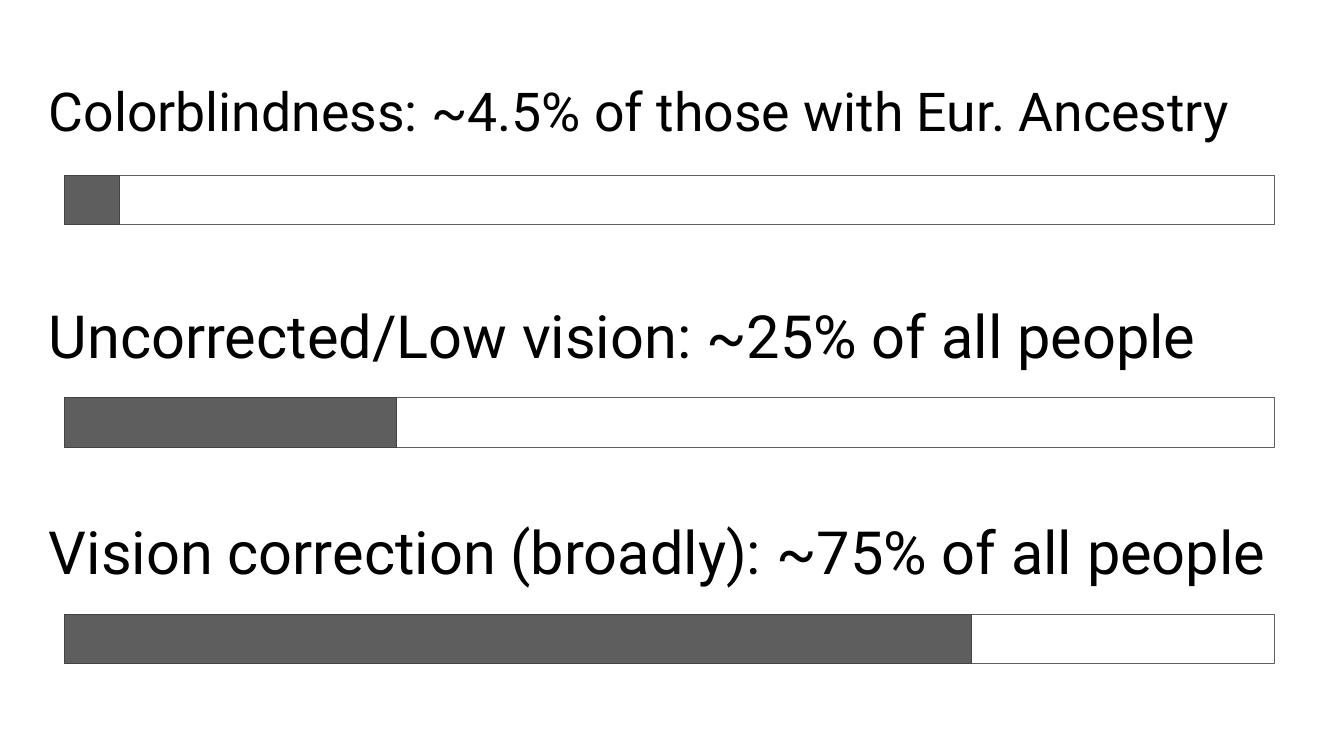
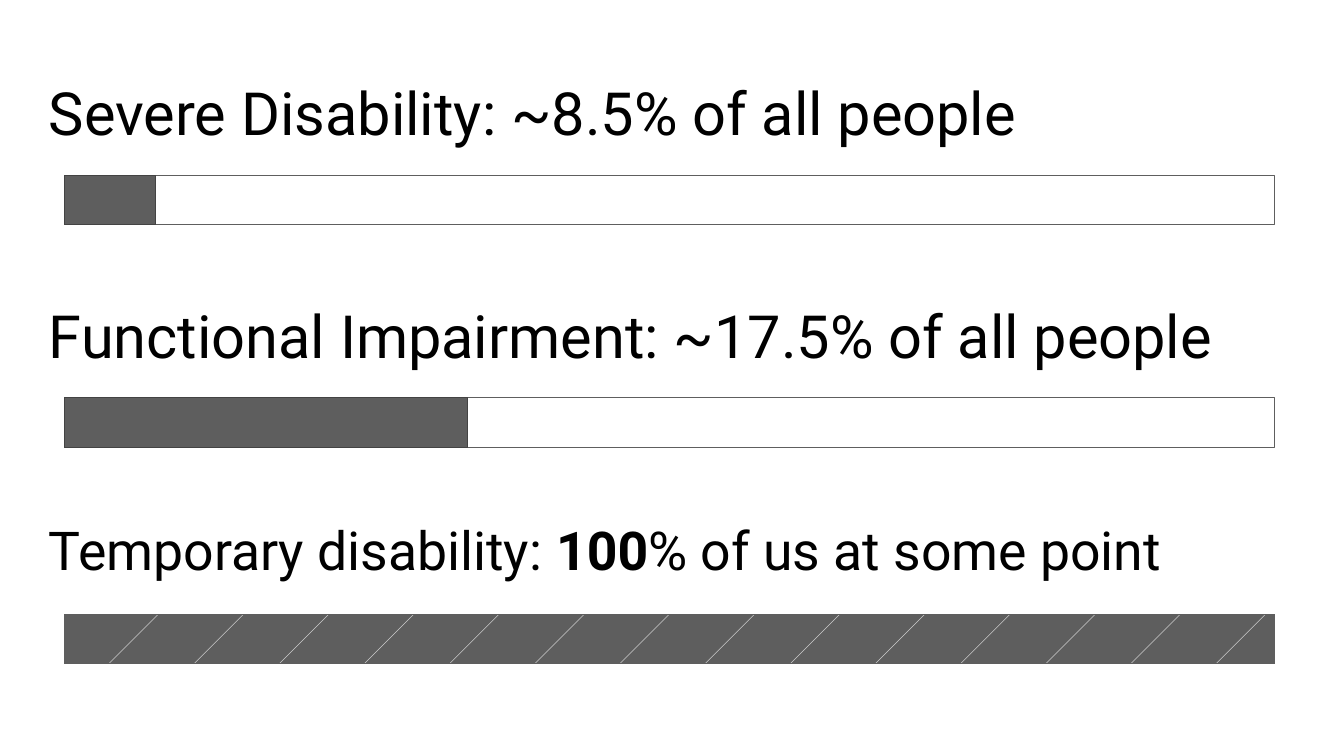
"""Build two slides of labelled bars showing how common impairments are."""
from lxml import etree
from pptx import Presentation
from pptx.dml.color import RGBColor
from pptx.enum.shapes import MSO_CONNECTOR, MSO_SHAPE
from pptx.enum.text import MSO_ANCHOR, MSO_AUTO_SIZE, PP_ALIGN
from pptx.oxml.ns import qn
from pptx.util import Pt

RECT, STRAIGHT = MSO_SHAPE.RECTANGLE, MSO_CONNECTOR.STRAIGHT
TOP, LEFT, NO_FIT = MSO_ANCHOR.TOP, PP_ALIGN.LEFT, MSO_AUTO_SIZE.NONE
PX = 9144
FONT = "Roboto"
COLORS = {
    "text": "000000", "paper": "FFFFFF", "bar": "5E5E5E",
    "bar_edge": "434343", "stripe": "CCCCCC",
}
COMPARISON_LAYOUT = 4
CAPTION_IDS = (0, 1, 3)
CAPTION_LEFT, CAPTION_WIDTH, CAPTION_HEIGHT, CAPTION_RISE = 91, 2485, 167, 175
CAPTION_INSET = 6
BAR_LEFT, BAR_WIDTH, BAR_HEIGHT = 128, 2400, 98
BAR_TOPS = (348, 789, 1219)
STRIPE_LEFT, STRIPE_PITCH, STRIPE_SIZE, STRIPE_COUNT = 192, 169, 133, 14
STRIPE_RISE = 11

SLIDES = [
    [
        (["Colorblindness: ~4.5% of those with Eur. Ancestry"], 76.5, 109),
        (["Uncorrected/Low vision: ~25% of all people"], 85, 659),
        (["Vision correction (broadly): ~75% of all people"], 85, 1800),
    ],
    [
        (["Severe Disability: ~8.5% of all people"], 85, 181),
        (["Functional Impairment: ~17.5% of all people"], 85, 800),
        (["Temporary disability: ", "100", "% of us at some point"], 76.5, BAR_WIDTH),
    ],
]


def color(name):
    return RGBColor.from_string(COLORS[name])


def add_rect(group, top, width, height, fill, edge):
    rect = group.shapes.add_shape(RECT, BAR_LEFT * PX, top * PX, width * PX, height * PX)
    rect.shadow.inherit = False
    if fill:
        rect.fill.solid()
        rect.fill.fore_color.rgb = color(fill)
    else:
        rect.fill.background()
    if edge:
        rect.line.color.rgb = color(edge)
        rect.line.width = Pt(0.75)
    else:
        rect.line.fill.background()


prs = Presentation()
prs.slide_width, prs.slide_height = 2667 * PX, 1500 * PX

for rows in SLIDES:
    slide = prs.slides.add_slide(prs.slide_layouts[COMPARISON_LAYOUT])
    slide.background.fill.solid()
    slide.background.fill.fore_color.rgb = color("paper")
    captions = []
    for placeholder in list(slide.placeholders):
        if placeholder.placeholder_format.idx in CAPTION_IDS:
            captions.append(placeholder)
        else:
            placeholder.element.getparent().remove(placeholder.element)

    for caption, bar_top, (texts, size, filled) in zip(captions, BAR_TOPS, rows):
        caption.left, caption.top = CAPTION_LEFT * PX, (bar_top - CAPTION_RISE) * PX
        caption.width, caption.height = CAPTION_WIDTH * PX, CAPTION_HEIGHT * PX
        frame = caption.text_frame
        frame.auto_size, frame.word_wrap, frame.vertical_anchor = NO_FIT, True, TOP
        frame.margin_left = frame.margin_right = CAPTION_INSET * PX
        frame.margin_top = frame.margin_bottom = CAPTION_INSET * PX
        paragraph = frame.paragraphs[0]
        paragraph.alignment, paragraph.line_spacing = LEFT, 0.8
        paragraph.space_before = Pt(0)
        for text in texts:
            run = paragraph.add_run()
            run.text = text
            run.font.name, run.font.size = FONT, Pt(size)
            run.font.bold = text == "100"
            run.font.color.rgb = color("text")

        bar = slide.shapes.add_group_shape()
        if filled < BAR_WIDTH:
            add_rect(bar, bar_top, BAR_WIDTH, BAR_HEIGHT, "paper", "bar")
            add_rect(bar, bar_top, filled, BAR_HEIGHT, "bar", "bar_edge")
            continue

        add_rect(bar, bar_top, BAR_WIDTH, BAR_HEIGHT, "bar", "bar")
        stripe_top = bar_top - STRIPE_RISE
        for i in range(STRIPE_COUNT):
            x = STRIPE_LEFT + i * STRIPE_PITCH
            stripe = bar.shapes.add_connector(
                STRAIGHT, x * PX, (stripe_top + STRIPE_SIZE) * PX,
                (x + STRIPE_SIZE) * PX, stripe_top * PX)
            stripe.line.color.rgb = color("stripe")
            stripe.line.width = Pt(0.75)
            etree.SubElement(stripe.element.spPr, qn("a:effectLst"))
        add_rect(bar, bar_top + BAR_HEIGHT, BAR_WIDTH, 41, "paper", None)
        add_rect(bar, bar_top - 20, BAR_WIDTH, 20, "paper", None)
        add_rect(bar, bar_top, BAR_WIDTH, BAR_HEIGHT, None, "bar")

prs.save("out.pptx")
